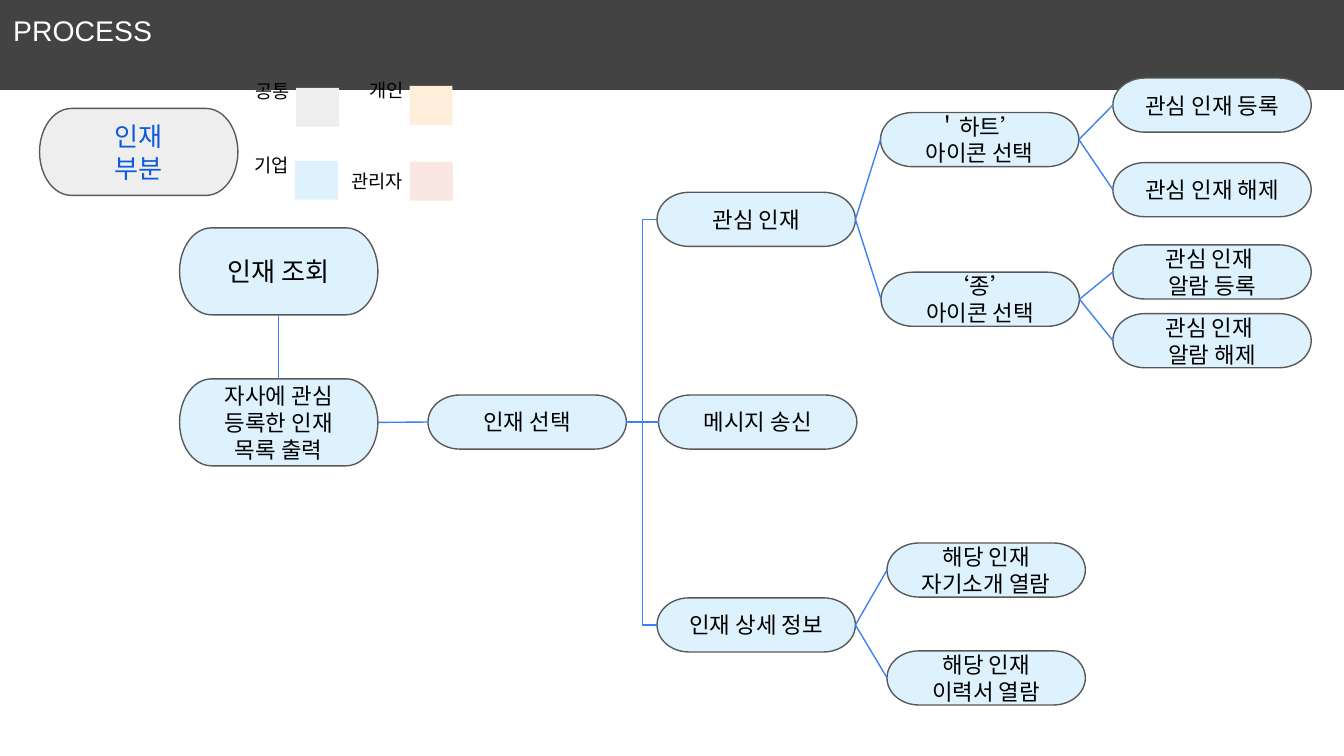
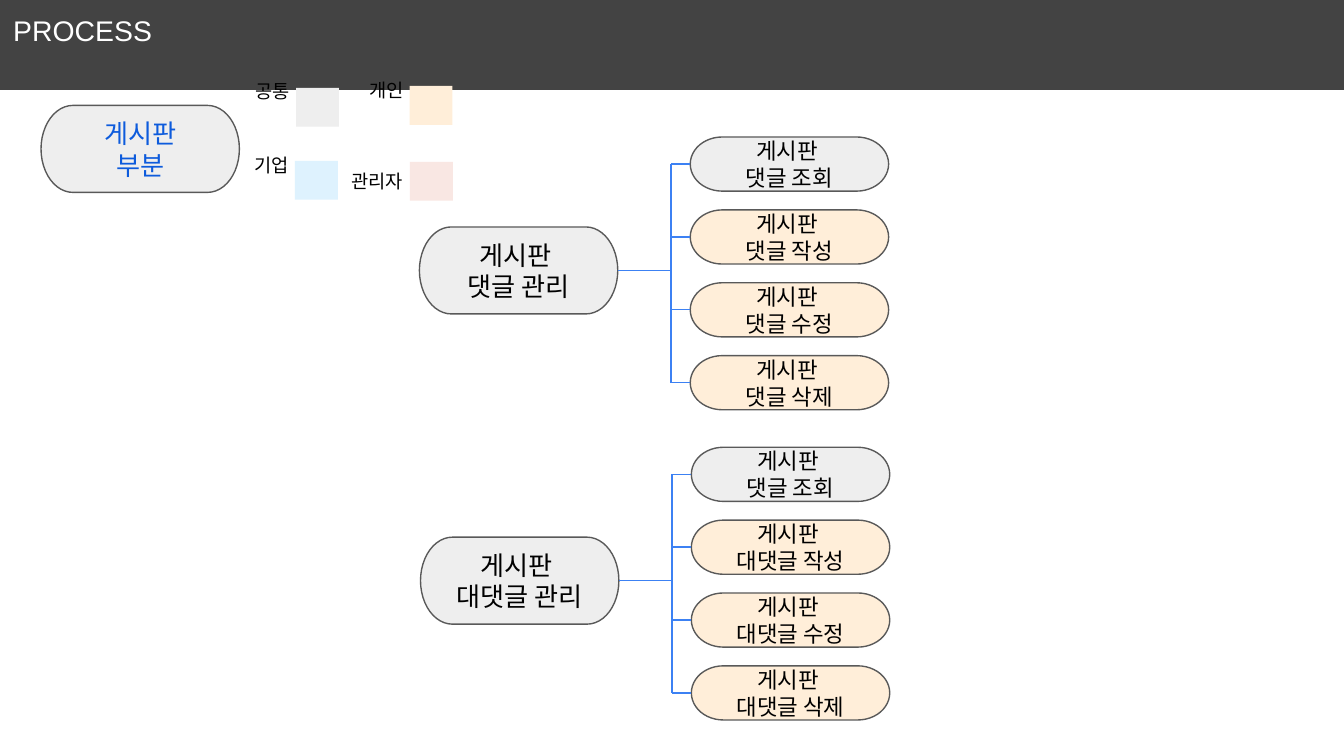
from dataclasses import dataclass

from pptx import Presentation
from pptx.dml.color import RGBColor
from pptx.enum.shapes import MSO_CONNECTOR, MSO_SHAPE
from pptx.enum.text import MSO_ANCHOR, PP_ALIGN
from pptx.oxml.ns import qn
from pptx.util import Pt
from lxml import etree

RECT = MSO_SHAPE.RECTANGLE
TERMINATOR = MSO_SHAPE.FLOWCHART_TERMINATOR
STRAIGHT = MSO_CONNECTOR.STRAIGHT
CENTER, LEFT = PP_ALIGN.CENTER, PP_ALIGN.LEFT
MIDDLE, TOP = MSO_ANCHOR.MIDDLE, MSO_ANCHOR.TOP
TOP_SITE, LEFT_SITE, BOTTOM_SITE, RIGHT_SITE = range(4)


@dataclass(frozen=True)
class Theme:
    font: str = "Arial"
    band: str = "434343"
    outline: str = "595959"
    link: str = "3C81F3"
    accent: str = "0D5BDC"
    ink: str = "000000"
    white: str = "FFFFFF"
    common: str = "EEEEEE"
    personal: str = "FFEED9"
    company: str = "DEF2FE"
    admin: str = "F9E7E3"
    title: float = 15.2
    large: float = 14
    body: float = 12
    legend: float = 10
    stroke: float = 0.75


theme = Theme()
SLIDE_W, SLIDE_H = 720, 405
NODE_W, STEP_H, STAGE_H = 106.3, 29, 46.6
PADDING = (7.2, 7.2, 7.2, 7.2)


def add_box(shapes, preset, x, y, w, h, fill=None, lines=(), size=theme.body, color=theme.ink,
            outline=None, margins=PADDING, align=CENTER, anchor=MIDDLE):
    frame = tuple(Pt(value) for value in (x, y, w, h))
    if preset is None:
        box = shapes.add_textbox(*frame)
    else:
        box = shapes.add_shape(preset, *frame)
        box.shadow.inherit = False
        box.fill.solid()
        box.fill.fore_color.rgb = RGBColor.from_string(fill)
        if outline:
            box.line.color.rgb = RGBColor.from_string(outline)
            box.line.width = Pt(theme.stroke)
        else:
            box.line.fill.background()
    text = box.text_frame
    text.word_wrap = True
    text.vertical_anchor = anchor
    text.margin_left, text.margin_top, text.margin_right, text.margin_bottom = map(Pt, margins)
    for index, line in enumerate(lines):
        paragraph = text.add_paragraph() if index else text.paragraphs[0]
        paragraph.alignment = align
        run = paragraph.add_run()
        run.text = line
        run.font.name = theme.font
        run.font.size = Pt(size)
        run.font.color.rgb = RGBColor.from_string(color)
    return box


def add_link(shapes, x1, y1, x2, y2):
    link = shapes.add_connector(STRAIGHT, Pt(x1), Pt(y1), Pt(x2), Pt(y2))
    link.line.color.rgb = RGBColor.from_string(theme.link)
    link.line.width = Pt(theme.stroke)
    etree.SubElement(link._element.spPr, qn("a:effectLst"))
    return link


presentation = Presentation()
presentation.slide_width, presentation.slide_height = Pt(SLIDE_W), Pt(SLIDE_H)
blank = presentation.slide_layouts[6]

sections = [
    (21.2, 58.1, ["인재", "부분"]),
    (22, 56.5, ["게시판", "부분"]),
]
talent, board = [presentation.slides.add_slide(blank).shapes for section in sections]

for shapes, (x, y, section) in zip((talent, board), sections):
    add_box(shapes, RECT, 0, 0, SLIDE_W, 48.2, theme.band, ["PROCESS"], theme.title, theme.white,
            align=LEFT, anchor=TOP)
    add_box(shapes, TERMINATOR, x, y, NODE_W, STAGE_H, theme.common, section, theme.large,
            theme.accent, theme.outline)

talent_steps = {
    "search": (96.2, 122.1, STAGE_H, theme.large, ["인재 조회"]),
    "list": (96.2, 203, STAGE_H, theme.body, ["자사에 관심 등록한 인재 목록 출력"]),
    "select": (229.3, 211.6, STEP_H, theme.body, ["인재 선택"]),
    "message": (352.8, 211.6, STEP_H, theme.body, ["메시지 송신"]),
    "detail": (352, 320.3, STEP_H, theme.body, ["인재 상세 정보"]),
    "resume": (475.2, 348.7, STEP_H, theme.body, ["해당 인재", "이력서 열람"]),
    "intro": (475.2, 290.9, STEP_H, theme.body, ["해당 인재", "자기소개 열람"]),
    "interest": (352, 103, STEP_H, theme.body, ["관심 인재"]),
    "heart": (471.7, 60.3, STEP_H, theme.body, ["＇하트’", "아이콘 선택"]),
    "bell": (472, 145.8, STEP_H, theme.body, ["‘종’", "아이콘 선택"]),
    "interest_on": (596.2, 41.8, STEP_H, theme.body, ["관심 인재 등록"]),
    "interest_off": (596.2, 87.1, STEP_H, theme.body, ["관심 인재 해제"]),
    "alarm_on": (596.2, 131.2, STEP_H, theme.body, ["관심 인재 ", "알람 등록"]),
    "alarm_off": (596.2, 168, STEP_H, theme.body, ["관심 인재 ", "알람 해제"]),
}
talent_nodes = {
    key: add_box(talent, TERMINATOR, x, y, NODE_W, h, theme.company, lines, size,
                 outline=theme.outline)
    for key, (x, y, h, size, lines) in talent_steps.items()
}

talent_links = [
    ("search", "list"), ("list", "select"), ("select", "message"),
    ("interest", "bell"), ("interest", "heart"),
    ("heart", "interest_on"), ("heart", "interest_off"),
    ("bell", "alarm_on"), ("bell", "alarm_off"),
    ("detail", "intro"), ("detail", "resume"),
]
for source, target in talent_links:
    downward = source == "search"
    link = add_link(talent, 0, 0, 0, 0)
    link.begin_connect(talent_nodes[source], BOTTOM_SITE if downward else RIGHT_SITE)
    link.end_connect(talent_nodes[target], TOP_SITE if downward else LEFT_SITE)

TALENT_TRUNK = 344.2
select_y = talent_steps["select"][1] + STEP_H / 2
for branch in ("interest", "detail"):
    x, y = talent_steps[branch][:2]
    branch_y = y + STEP_H / 2
    add_link(talent, TALENT_TRUNK, select_y, TALENT_TRUNK, branch_y)
    twig = add_link(talent, TALENT_TRUNK, branch_y, x, branch_y)
    twig.end_connect(talent_nodes[branch], LEFT_SITE)

STAGE_X, TRUNK_X, ACTION_X, ACTION_PITCH = 224.7, 359.5, 369.8, 39.04
comment_groups = [
    (0, 0, "댓글 관리", ["댓글 조회", "댓글 작성", "댓글 수정", "댓글 삭제"]),
    (0.6, 166.2, "대댓글 관리", ["댓글 조회", "대댓글 작성", "대댓글 수정", "대댓글 삭제"]),
]
for dx, dy, stage_name, actions in comment_groups:
    stage_y, first_y = 121.6 + dy, 73.4 + dy
    trunk_x, action_x = TRUNK_X + dx, ACTION_X + dx
    stage = add_box(board, TERMINATOR, STAGE_X + dx, stage_y, NODE_W, STAGE_H, theme.common,
                    ["게시판 ", stage_name], theme.large, outline=theme.outline)
    action_nodes = [
        add_box(board, TERMINATOR, action_x, first_y + row * ACTION_PITCH, NODE_W, STEP_H,
                theme.personal if row else theme.common, ["게시판 ", action],
                outline=theme.outline)
        for row, action in enumerate(actions)
    ]
    stage_middle = stage_y + STAGE_H / 2
    stem = add_link(board, STAGE_X + dx + NODE_W, stage_middle, trunk_x, stage_middle)
    stem.begin_connect(stage, RIGHT_SITE)
    trunk_top = first_y + STEP_H / 2
    trunk_bottom = trunk_top + (len(actions) - 1) * ACTION_PITCH
    add_link(board, trunk_x, trunk_top, trunk_x, trunk_bottom)
    for row, action_node in enumerate(action_nodes):
        action_middle = trunk_top + row * ACTION_PITCH
        twig = add_link(board, trunk_x, action_middle, action_x, action_middle)
        twig.end_connect(action_node, LEFT_SITE)

RAISED = (0, 0, 0, 13.4)
legend = [
    ("공통", 128.2, 39.6, 36, RAISED, 158.6, 47.1, theme.common),
    ("개인", 189.2, 38.9, 36, RAISED, 219.4, 46.1, theme.personal),
    ("기업", 127.6, 79.2, 36, RAISED, 158, 86.2, theme.company),
    ("관리자", 181.4, 79.9, 46, (0, 2, 5, 0), 219.6, 86.8, theme.admin),
]
for shapes in (talent, board):
    for role, x, y, w, margins, swatch_x, swatch_y, fill in legend:
        entry = shapes.add_group_shape().shapes
        add_box(entry, None, x, y, w, 31.7, lines=[role], size=theme.legend, margins=margins)
        add_box(entry, RECT, swatch_x, swatch_y, 23, 20.8, fill)

presentation.save("out.pptx")
